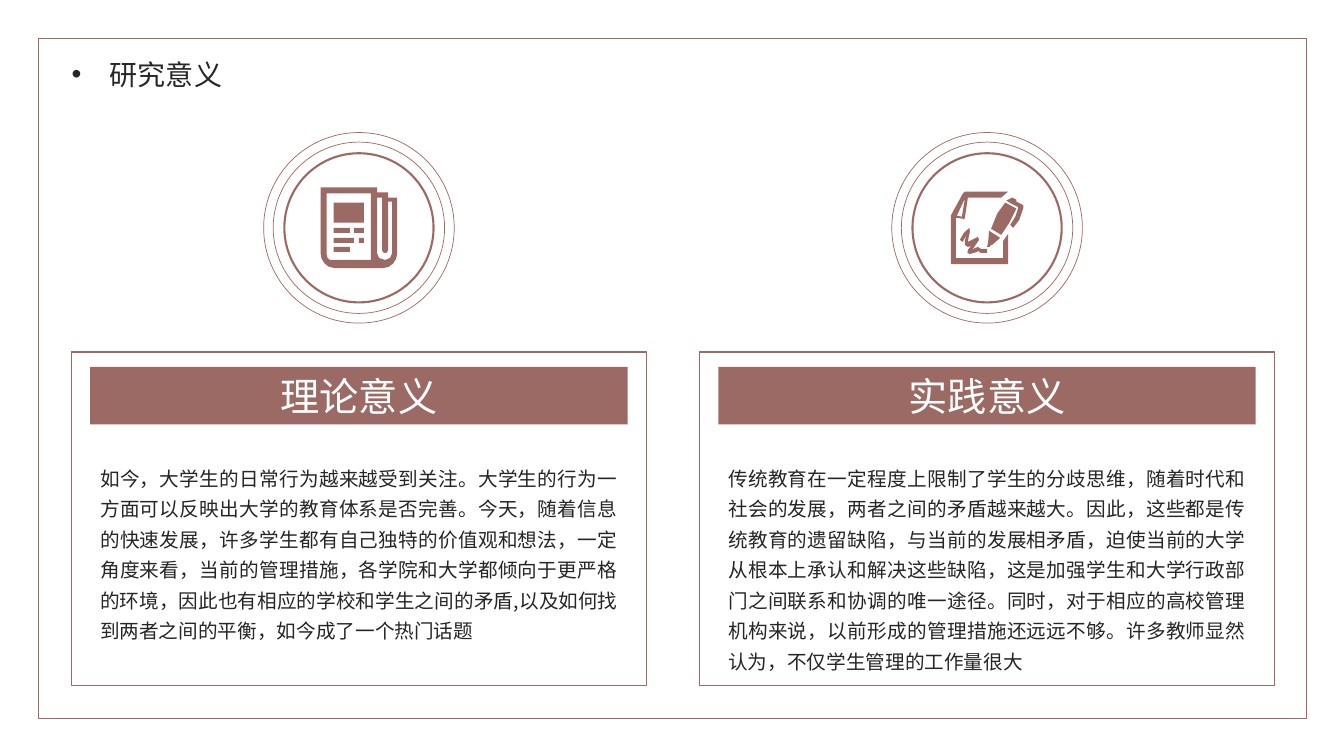
import pptx
import pptx.dml.color
import pptx.enum.shapes
import pptx.enum.text
import pptx.util
from lxml import etree
from pptx.oxml.ns import qn

Inches = pptx.util.Inches
Pt = pptx.util.Pt
RGBColor = pptx.dml.color.RGBColor
Shape = pptx.enum.shapes.MSO_SHAPE
Align = pptx.enum.text.PP_ALIGN

ROSE = RGBColor(0x9B, 0x6A, 0x64)
INK = RGBColor(0x26, 0x26, 0x26)
WHITE = RGBColor(0xFF, 0xFF, 0xFF)
FONT = "Noto Sans CJK SC"

CARD_LEFT, CARD_TOP, CARD_WIDTH, CARD_HEIGHT = 0.71, 3.49, 5.7, 3.31
CARD_STEP = 6.23
INNER_WIDTH = 5.33
LABEL_WIDTH = 1.92
BAR_TOP, BAR_HEIGHT = 3.64, 0.57
BODY_TOP = 4.51
RING_MIDDLE = 2.26
RINGS = [(1.48, 1.5), (1.7, 0.5), (1.89, 0.5)]  # diameter, line width


def box(left, top, right, bottom):
    return [(left, top), (right, top), (right, bottom), (left, bottom)]


# Icon outlines, in hundredths of an inch from the icon's top left corner
NEWSPAPER = [
    # Page edge, front page, folded back page
    [(62, 80), (14, 80), (8.4, 78.8), (4, 75.5), (1, 70.7), (0, 65), (0, 0),
     (56, 0), (56, 5), (67, 5), (67, 10), (76, 10), (76, 65), (75, 70.7),
     (72, 75.5), (67.6, 78.8)],
    [(50, 6), (6, 6), (6, 66), (6.8, 69.5), (8.5, 71.5), (11, 72), (50, 72)],
    [(71, 14), (67, 14), (67, 62), (66, 64.5), (64, 65), (62, 64.5), (61, 62),
     (61, 10), (56, 10), (56, 65), (58, 70), (64, 72), (69, 70), (71, 65)],
    # Photo and text lines
    box(13, 15, 43, 35),
    box(13, 40, 29, 45), box(33, 40, 43, 45),
    box(13, 50, 33, 55), box(38, 50, 43, 55),
    box(13, 59, 29, 64),
]
SIGNED_SHEET = [
    # Sheet and folded corner
    [(14, 0), (57, 0), (50, 6), (17, 6), (14, 26), (13, 28), (12, 27), (5, 26),
     (5, 66), (52, 66), (52, 49), (57, 42), (57, 72), (0, 72), (0, 24), (12, 2)],
    [(14, 7), (6, 24), (11, 25)],
    # Signature
    [(9, 48), (12, 50), (14.5, 44.5), (15, 44), (14, 49), (14, 53), (17, 55),
     (20, 54), (17, 58), (16.5, 61), (19, 62), (26, 60), (27, 59), (30, 61),
     (36, 61), (36, 57), (30, 57), (27, 55), (24, 56), (21, 58), (24, 54),
     (28, 48), (27, 45), (21, 48), (17, 50), (18, 44), (19, 40), (18.5, 36),
     (13, 41)],
    # Pen nib, clip and barrel
    [(38, 39), (37, 51), (36, 55), (38, 55), (40, 53), (41, 53), (49, 46)],
    [(65, 10), (65, 8), (61, 6), (55, 9), (60, 12), (66, 15), (67, 16),
     (64, 25), (59, 33), (62, 36), (68, 28), (72, 16), (72, 14), (71, 13)],
    [(54, 11), (46, 22), (40, 37), (50, 43), (58, 31), (65, 17)],
]

# Label, body, icon outlines, icon offset from the card's left edge, icon top
CARDS = [
    ("理论意义",
     "如今，大学生的日常行为越来越受到关注。大学生的行为一方面可以反映出大学的教育体系是否完善。"
     "今天，随着信息的快速发展，许多学生都有自己独特的价值观和想法，一定角度来看，"
     "当前的管理措施，各学院和大学都倾向于更严格的环境，因此也有相应的学校和学生之间的矛盾,"
     "以及如何找到两者之间的平衡，如今成了一个热门话题",
     NEWSPAPER, 2.47, 1.86),
    ("实践意义",
     "传统教育在一定程度上限制了学生的分歧思维，随着时代和社会的发展，两者之间的矛盾越来越大。"
     "因此，这些都是传统教育的遗留缺陷，与当前的发展相矛盾，迫使当前的大学从根本上承认和解决这些缺陷，"
     "这是加强学生和大学行政部门之间联系和协调的唯一途径。同时，对于相应的高校管理机构来说，"
     "以前形成的管理措施还远远不够。许多教师显然认为，不仅学生管理的工作量很大",
     SIGNED_SHEET, 2.49, 1.9),
]


class SlideBuilder:
    def __init__(self, slide):
        self.slide = slide

    def paint(self, shape, fill=None, line_width=None):
        shape.shadow.inherit = False
        if fill is None:
            shape.fill.background()
        else:
            shape.fill.solid()
            shape.fill.fore_color.rgb = fill
        if line_width is None:
            shape.line.fill.background()
        else:
            shape.line.color.rgb = ROSE
            shape.line.width = Pt(line_width)

    def preset(self, kind, left, top, width, height, parent=None, **style):
        shapes = (parent or self.slide).shapes
        shape = shapes.add_shape(kind, Inches(left), Inches(top),
                                 Inches(width), Inches(height))
        self.paint(shape, **style)

    def fill_text(self, shape, text, size, color, align, spacing=None):
        frame = shape.text_frame
        frame.text = text
        frame.word_wrap = True
        frame.auto_size = pptx.enum.text.MSO_AUTO_SIZE.SHAPE_TO_FIT_TEXT
        frame.vertical_anchor = pptx.enum.text.MSO_ANCHOR.TOP
        paragraph = frame.paragraphs[0]
        paragraph.alignment = align
        if spacing:
            paragraph.line_spacing = spacing
        run = paragraph.runs[0]
        run.font.size = Pt(size)
        run.font.color.rgb = color
        run.font.name = FONT
        east_asian = etree.SubElement(run._r.get_or_add_rPr(), qn("a:ea"))
        east_asian.set("typeface", FONT)

    def text(self, left, top, width, height, *style):
        shape = self.slide.shapes.add_textbox(Inches(left), Inches(top),
                                              Inches(width), Inches(height))
        self.fill_text(shape, *style)

    def title(self, text, left, top, width, height):
        shape = self.slide.shapes.title
        shape.left, shape.top = Inches(left), Inches(top)
        shape.width, shape.height = Inches(width), Inches(height)
        self.fill_text(shape, text, 20, INK, Align.JUSTIFY)
        # Hanging bullet
        properties = shape.text_frame.paragraphs[0]._p.get_or_add_pPr()
        properties.set("marL", str(Inches(0.38)))
        properties.set("indent", str(Inches(-0.38)))
        etree.SubElement(properties, qn("a:buFont")).set("typeface", "Arial")
        etree.SubElement(properties, qn("a:buChar")).set("char", "•")

    def icon(self, outlines, left, top):
        builder = None
        for outline in outlines:
            points = [(Inches(x / 100), Inches(y / 100)) for x, y in outline]
            if builder is None:
                builder = self.slide.shapes.build_freeform(*points[0])
            else:
                builder.move_to(*points[0])
            builder.add_line_segments(points[1:], close=True)
        shape = builder.convert_to_shape(Inches(left), Inches(top))
        self.paint(shape, fill=ROSE)

    def rings(self, center):
        group = self.slide.shapes.add_group_shape()
        for diameter, line_width in RINGS:
            self.preset(Shape.OVAL, center - diameter / 2, RING_MIDDLE - diameter / 2,
                        diameter, diameter, parent=group, line_width=line_width)

    def card(self, left, label, body, outlines, icon_offset, icon_top):
        center = left + CARD_WIDTH / 2
        inner_left = center - INNER_WIDTH / 2
        self.preset(Shape.RECTANGLE, left, CARD_TOP, CARD_WIDTH, CARD_HEIGHT, line_width=1)
        self.preset(Shape.RECTANGLE, inner_left, BAR_TOP, INNER_WIDTH, BAR_HEIGHT, fill=ROSE)
        self.text(center - LABEL_WIDTH / 2, BAR_TOP, LABEL_WIDTH, BAR_HEIGHT,
                  label, 28, WHITE, Align.CENTER)
        self.text(inner_left, BODY_TOP, INNER_WIDTH, 2.24, body, 14, INK, Align.JUSTIFY, 1.3)
        self.icon(outlines, left + icon_offset, icon_top)
        self.rings(center)


def main():
    presentation = pptx.Presentation()
    presentation.slide_width = Inches(13.33)
    presentation.slide_height = Inches(7.5)
    slide = presentation.slides.add_slide(presentation.slide_layouts.get_by_name("Title Only"))
    builder = SlideBuilder(slide)

    # Page frame and title
    builder.preset(Shape.RECTANGLE, 0.38, 0.38, 12.58, 6.75, line_width=1)
    builder.title("研究意义", 0.61, 0.52, 2.02, 0.44)

    # Two cards side by side
    for index, card in enumerate(CARDS):
        builder.card(CARD_LEFT + index * CARD_STEP, *card)

    presentation.save("out.pptx")


if __name__ == "__main__":
    main()
